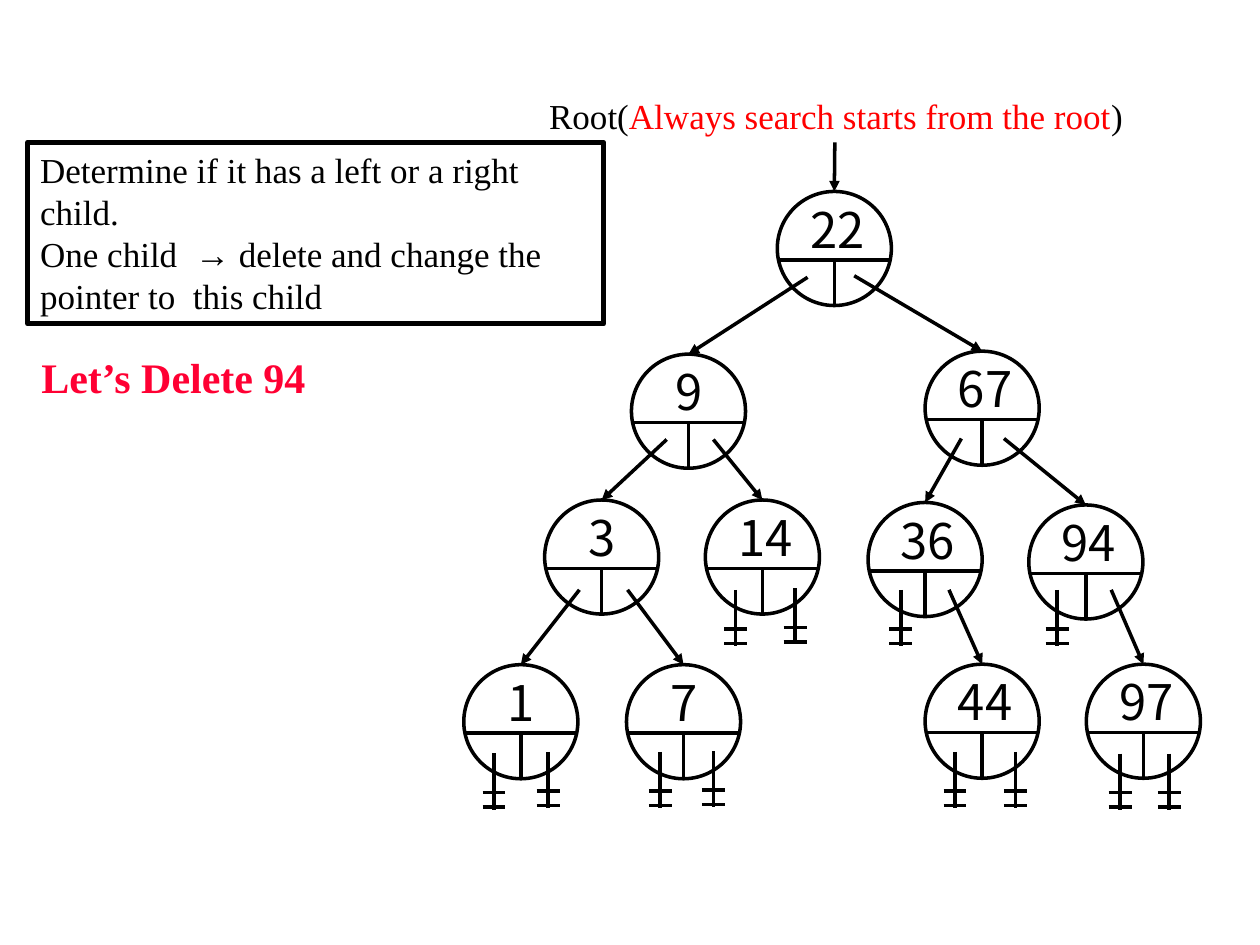
import pptx
import pptx.util
import pptx.dml.color
import pptx.enum.shapes
import pptx.enum.text
import pptx.oxml

Cm, Pt = pptx.util.Cm, pptx.util.Pt
RGB = pptx.dml.color.RGBColor
SHAPE = pptx.enum.shapes.MSO_SHAPE
FIT = pptx.enum.text.MSO_AUTO_SIZE
TOP = pptx.enum.text.MSO_ANCHOR.TOP
LEFT = pptx.enum.text.PP_ALIGN.LEFT

COLORS = {"ink": "000000", "red": "FF0000", "rose": "FF0033"}
SERIF, SANS, ARROW = "Times New Roman", "Noto Sans CJK KR", "Arial"

# Key: left, top in the tree, then links (child, start x, start y) in the node;
# a link without a child ends in a ground sign
NODES = {
    "22": (6.32, 0, [("9", 0.61, 1.73), ("67", 1.55, 1.7)]),
    "9": (3.38, 3.28, [("3", 0.71, 1.72), ("14", 1.65, 1.72)]),
    "67": (9.3, 3.22, [("36", 0.73, 1.76), ("94", 1.59, 1.76)]),
    "3": (1.63, 6.22, [("1", 0.7, 1.81), ("7", 1.67, 1.81)]),
    "14": (4.87, 6.22, [(None, 0.61, 1.81), (None, 1.81, 1.78)]),
    "36": (8.15, 6.27, [(None, 0.66, 1.76), ("44", 1.63, 1.76)]),
    "94": (11.39, 6.32, [(None, 0.57, 1.71), ("97", 1.66, 1.71)]),
    "1": (0, 9.54, [(None, 0.61, 1.79), (None, 1.7, 1.76)]),
    "7": (3.28, 9.54, [(None, 0.68, 1.76), (None, 1.75, 1.74)]),
    "44": (9.3, 9.53, [(None, 0.6, 1.77), (None, 1.82, 1.77)]),
    "97": (12.55, 9.53, [(None, 0.68, 1.8), (None, 1.67, 1.8)]),
}
SIZE = 2.3


def apply(item, fmt):
    for name, value in fmt.items():
        setattr(item, name, value)


def write(para, parts, size, bold=False):
    """Add runs given as (text, font, color)."""
    for text, face, color in parts:
        run = para.add_run()
        run.text = text
        apply(run.font, {"name": face, "size": Pt(size), "bold": bold})
        run.font.color.rgb = RGB.from_string(COLORS[color])


def frame(shape, wrap=False, fit=FIT.SHAPE_TO_FIT_TEXT):
    text = shape.text_frame
    apply(text, {"word_wrap": wrap, "auto_size": fit, "vertical_anchor": TOP})
    text.paragraphs[0].alignment = LEFT
    return text


def outline(shape, width):
    shape.line.color.rgb = RGB.from_string(COLORS["ink"])
    shape.line.width = Pt(width)


def stroke(shapes, x1, y1, x2, y2):
    line = shapes.add_connector(
        pptx.enum.shapes.MSO_CONNECTOR.STRAIGHT, Cm(x1), Cm(y1), Cm(x2), Cm(y2))
    outline(line, 2)
    line._element.spPr.append(pptx.oxml.parse_xml(
        '<a:effectLst xmlns:a="http://schemas.openxmlformats.org/drawingml/2006/main"/>'))
    return line


def point(shapes, x, y, disc):
    """Arrow from a point to the top of a disc."""
    line = stroke(shapes, x, y, x, y + 1)
    line.end_connect(disc, 0)
    line.line._get_or_add_ln().append(pptx.oxml.parse_xml(
        '<a:tailEnd xmlns:a="http://schemas.openxmlformats.org/drawingml/2006/main"'
        ' type="triangle"/>'))


def node(shapes, x, y, key):
    """Disc with a key above two link cells."""
    parts = shapes.add_group_shape().shapes
    disc = parts.add_shape(SHAPE.OVAL, Cm(x), Cm(y), Cm(SIZE), Cm(SIZE))
    disc.shadow.inherit = False
    disc.fill.background()
    outline(disc, 2)
    mid, bar = x + SIZE / 2, y + 1.38
    stroke(parts, x, bar, x + SIZE, bar)
    stroke(parts, mid, y + SIZE, mid, bar)
    wide = 1.63 if len(key) == 2 else 1.32
    label = parts.add_textbox(Cm(x + 0.41), Cm(y + 0.03), Cm(wide), Cm(1.45))
    write(frame(label).paragraphs[0], [(key.rjust(2), SANS, "ink")], 28)
    return disc


def ground(shapes, x, y):
    """Empty link: a stem crossed by two bars."""
    parts = shapes.add_group_shape().shapes
    stroke(parts, x, y, x, y + 1.13)
    for drop in (0.79, 1.08):
        stroke(parts, x - 0.23, y + drop, x + 0.23, y + drop)


def tree(shapes, x, y):
    discs = {key: node(shapes, x + dx, y + dy, key)
             for key, (dx, dy, _) in NODES.items()}
    for dx, dy, links in NODES.values():
        for child, sx, sy in links:
            start = x + dx + sx, y + dy + sy
            if child:
                point(shapes, *start, discs[child])
            else:
                ground(shapes, *start)
    return discs["22"]


def root(shapes, x, y, wide, high, disc):
    """Label above the tree, with an arrow to its top node."""
    label = shapes.add_textbox(Cm(x), Cm(y), Cm(wide), Cm(high))
    write(frame(label).paragraphs[0], [
        ("Root(", SERIF, "ink"),
        ("Always search starts from the root", SERIF, "red"),
        (")", SERIF, "ink")], 20)
    point(shapes, x + 6.01, y + 1.09, disc)


def rule(shapes, x, y, wide, high):
    """Framed deletion rule."""
    card = shapes.add_shape(SHAPE.RECTANGLE, Cm(x), Cm(y), Cm(wide), Cm(high))
    card.shadow.inherit = False
    card.fill.background()
    outline(card, 3)
    text = frame(card, wrap=True)
    write(text.paragraphs[0],
          [("Determine if it has a left or a right child.", SERIF, "ink")], 20)
    para = text.add_paragraph()
    para.alignment = LEFT
    write(para, [
        ("One child  ", SERIF, "ink"),
        ("→", ARROW, "ink"),
        (" delete and change the pointer to  this child", SERIF, "ink")], 20)


def head(title, x, y, wide, high):
    apply(title, {"left": Cm(x), "top": Cm(y), "width": Cm(wide), "height": Cm(high)})
    para = frame(title, fit=FIT.NONE).paragraphs[0]
    para.space_before = Pt(6)
    write(para, [("Let’s Delete 94", SERIF, "rose")], 24, bold=True)


def main():
    deck = pptx.Presentation()
    apply(deck, {"slide_width": Cm(25.4), "slide_height": Cm(19.05)})
    slide = deck.slides.add_slide(deck.slide_layouts[5])
    shapes = slide.shapes
    top = tree(shapes, 9.35, 3.86)
    root(shapes, 10.82, 1.78, 12.07, 1.12, top)
    head(shapes.title, 0.58, 6.96, 5.87, 1.27)
    rule(shapes, 0.56, 2.87, 11.61, 3.66)
    deck.save("out.pptx")


if __name__ == "__main__":
    main()
